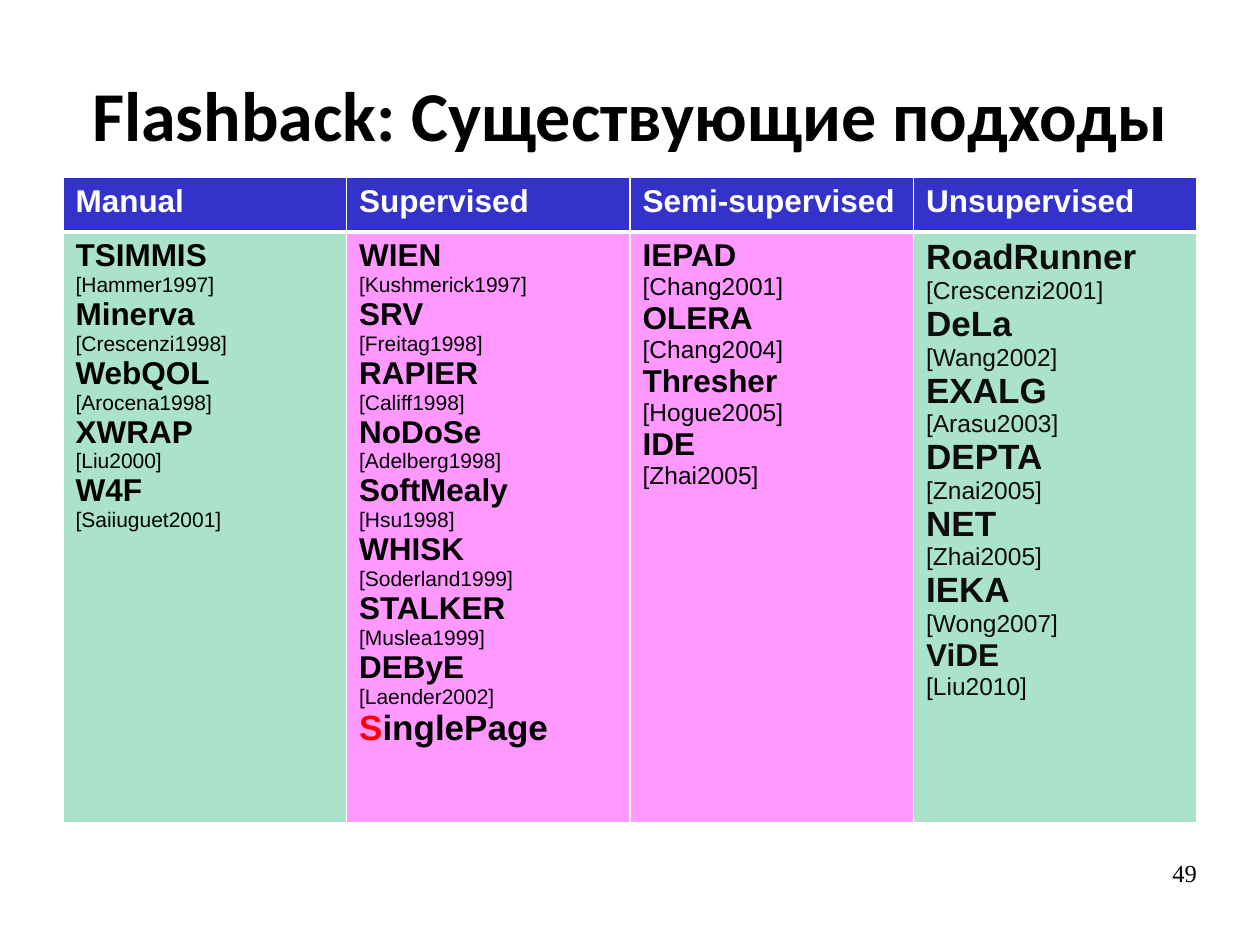
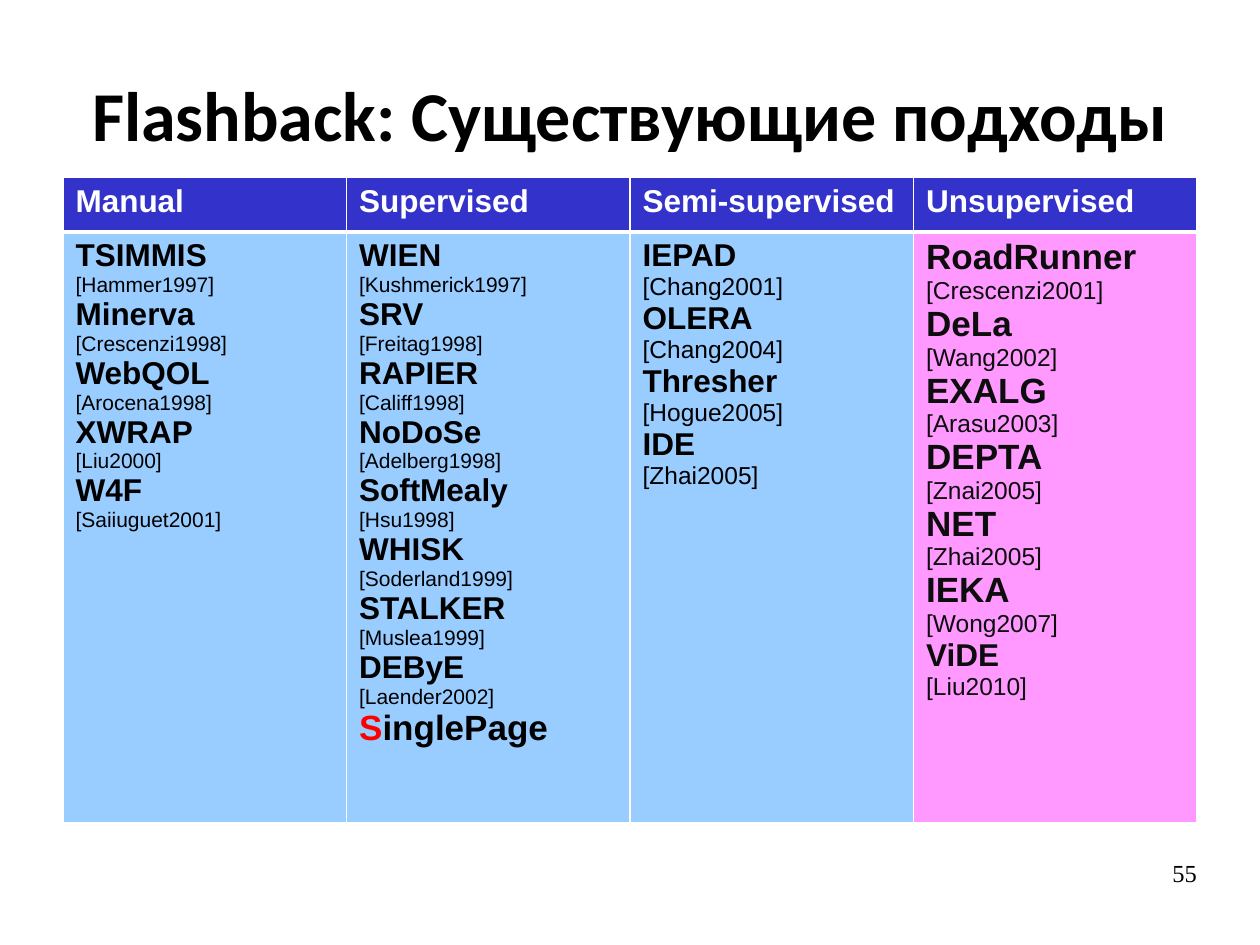
from dataclasses import dataclass
from typing import Optional

from lxml.etree import SubElement
from pptx import Presentation
from pptx.dml.color import RGBColor
from pptx.enum.text import MSO_ANCHOR as Anchor, PP_ALIGN as Align
from pptx.oxml.ns import qn
from pptx.util import Pt

BLACK = RGBColor(0x00, 0x00, 0x00)
NEAR_BLACK = RGBColor(0x0D, 0x0D, 0x0D)
WHITE = RGBColor(0xFF, 0xFF, 0xFF)
RED = RGBColor(0xFF, 0x00, 0x00)
HEADER_BLUE = RGBColor(0x33, 0x33, 0xCC)
MINT = RGBColor(0xAA, 0xE2, 0xCA)
PINK = RGBColor(0xFF, 0x99, 0xFF)
SKY = RGBColor(0x99, 0xCC, 0xFF)

TITLE = "Flashback: Существующие подходы"
MARGIN = 36
CONTENT_WIDTH = 648
TABLE_TOP = 101.5
HEADER_HEIGHT = 31
BODY_HEIGHT = 337.7
THIN, THICK = 1, 3


@dataclass(frozen=True)
class TextStyle:
    font: str
    size: float
    color: RGBColor
    bold: bool = False


@dataclass(frozen=True)
class TextBox:
    left: float
    top: float
    width: float
    height: float
    style: TextStyle
    alignment: Align
    anchor: Anchor
    line_spacing: float


@dataclass(frozen=True)
class Approach:
    name: str
    citation: str = ""
    size: Optional[float] = None
    citation_follows: bool = False
    accent_letters: int = 0


@dataclass(frozen=True)
class Category:
    title: str
    name_size: float
    citation_size: float
    color: RGBColor
    approaches: tuple[Approach, ...]


@dataclass(frozen=True)
class OverviewSlide:
    number: str
    fills: tuple[RGBColor, ...]


TITLE_BOX = TextBox(MARGIN, 21.6, CONTENT_WIDTH, 90,
                    TextStyle("Calibri", 40, BLACK, True),
                    Align.CENTER, Anchor.MIDDLE, 0.98)
NUMBER_BOX = TextBox(516, 491.75, 168, 37.5,
                     TextStyle("Times New Roman", 14, BLACK),
                     Align.RIGHT, Anchor.TOP, 0.93)
HEADER_STYLE = TextStyle("Arial", 18, WHITE, True)

CATEGORIES = (
    Category("Manual", 18, 12, BLACK, (
        Approach("TSIMMIS", "[Hammer1997]"),
        Approach("Minerva ", "[Crescenzi1998]", citation_follows=True),
        Approach("WebQOL", "[Arocena1998]"),
        Approach("XWRAP", "[Liu2000]"),
        Approach("W4F", "[Saiiuguet2001]"),
    )),
    Category("Supervised", 18, 12, BLACK, (
        Approach("WIEN", "[Kushmerick1997]"),
        Approach("SRV", "[Freitag1998]"),
        Approach("RAPIER", "[Califf1998]"),
        Approach("NoDoSe", "[Adelberg1998]"),
        Approach("SoftMealy", "[Hsu1998]"),
        Approach("WHISK", "[Soderland1999]"),
        Approach("STALKER", "[Muslea1999]"),
        Approach("DEByE", "[Laender2002]"),
        Approach("SinglePage", size=20, accent_letters=1),
    )),
    Category("Semi-supervised", 18, 14, BLACK, (
        Approach("IEPAD", "[Chang2001]"),
        Approach("OLERA", "[Chang2004]"),
        Approach("Thresher", "[Hogue2005]"),
        Approach("IDE", "[Zhai2005]"),
    )),
    Category("Unsupervised", 20, 14, NEAR_BLACK, (
        Approach("RoadRunner", "[Crescenzi2001]"),
        Approach("DeLa", "[Wang2002]"),
        Approach("EXALG", "[Arasu2003]"),
        Approach("DEPTA", "[Znai2005]"),
        Approach("NET", "[Zhai2005]"),
        Approach("IEKA", "[Wong2007]"),
        Approach("ViDE", "[Liu2010]", size=18),
    )),
)

SLIDES = (
    OverviewSlide("49", (MINT, PINK, PINK, MINT)),
    OverviewSlide("55", (SKY, SKY, SKY, PINK)),
)


def add_run(paragraph, text: str, style: TextStyle) -> None:
    run = paragraph.add_run()
    run.text = text
    run.font.name = style.font
    run.font.size = Pt(style.size)
    run.font.bold = style.bold
    run.font.color.rgb = style.color


def add_text_box(slide, box: TextBox, text: str) -> None:
    shape = slide.shapes.add_textbox(Pt(box.left), Pt(box.top), Pt(box.width), Pt(box.height))
    frame = shape.text_frame
    frame.word_wrap = True
    frame.vertical_anchor = box.anchor
    frame.margin_left = frame.margin_right = frame.margin_top = frame.margin_bottom = Pt(0)
    paragraph = frame.paragraphs[0]
    paragraph.alignment = box.alignment
    paragraph.line_spacing = box.line_spacing
    add_run(paragraph, text, box.style)


def style_cell(cell, fill: RGBColor, top: float, bottom: float) -> None:
    cell.fill.solid()
    cell.fill.fore_color.rgb = fill
    properties = cell._tc.get_or_add_tcPr()
    widths = {"lnL": THIN, "lnR": THIN, "lnT": top, "lnB": bottom}
    for index, (edge, width) in enumerate(widths.items()):
        line = SubElement(properties, qn(f"a:{edge}"), w=str(Pt(width)))
        solid = SubElement(line, qn("a:solidFill"))
        SubElement(solid, qn("a:srgbClr"), val=str(WHITE))
        properties.insert(index, line)


def write_approaches(cell, category: Category) -> None:
    frame = cell.text_frame
    citation_style = TextStyle("Arial", category.citation_size, category.color)
    for index, approach in enumerate(category.approaches):
        paragraph = frame.add_paragraph() if index else frame.paragraphs[0]
        size = approach.size or category.name_size
        accent = approach.name[:approach.accent_letters]
        if accent:
            add_run(paragraph, accent, TextStyle("Arial", size, RED, True))
        add_run(paragraph, approach.name[len(accent):],
                TextStyle("Arial", size, category.color, True))
        if approach.citation:
            if not approach.citation_follows:
                paragraph = frame.add_paragraph()
            add_run(paragraph, approach.citation, citation_style)


def add_approach_table(slide, fills: tuple[RGBColor, ...]) -> None:
    shape = slide.shapes.add_table(2, len(CATEGORIES), Pt(MARGIN), Pt(TABLE_TOP),
                                   Pt(CONTENT_WIDTH), Pt(HEADER_HEIGHT + BODY_HEIGHT))
    table = shape.table
    table.horz_banding = False
    table.rows[0].height = Pt(HEADER_HEIGHT)
    table.rows[1].height = Pt(BODY_HEIGHT)
    for column, (category, fill) in enumerate(zip(CATEGORIES, fills)):
        table.columns[column].width = Pt(CONTENT_WIDTH / len(CATEGORIES))
        header, body = table.cell(0, column), table.cell(1, column)
        add_run(header.text_frame.paragraphs[0], category.title, HEADER_STYLE)
        style_cell(header, HEADER_BLUE, THIN, THICK)
        write_approaches(body, category)
        style_cell(body, fill, THICK, THIN)


def main() -> None:
    presentation = Presentation()
    presentation.slide_width = Pt(720)
    presentation.slide_height = Pt(540)
    for overview in SLIDES:
        slide = presentation.slides.add_slide(presentation.slide_layouts[6])
        add_text_box(slide, TITLE_BOX, TITLE)
        add_approach_table(slide, overview.fills)
        add_text_box(slide, NUMBER_BOX, overview.number)
    presentation.save("out.pptx")


if __name__ == "__main__":
    main()
